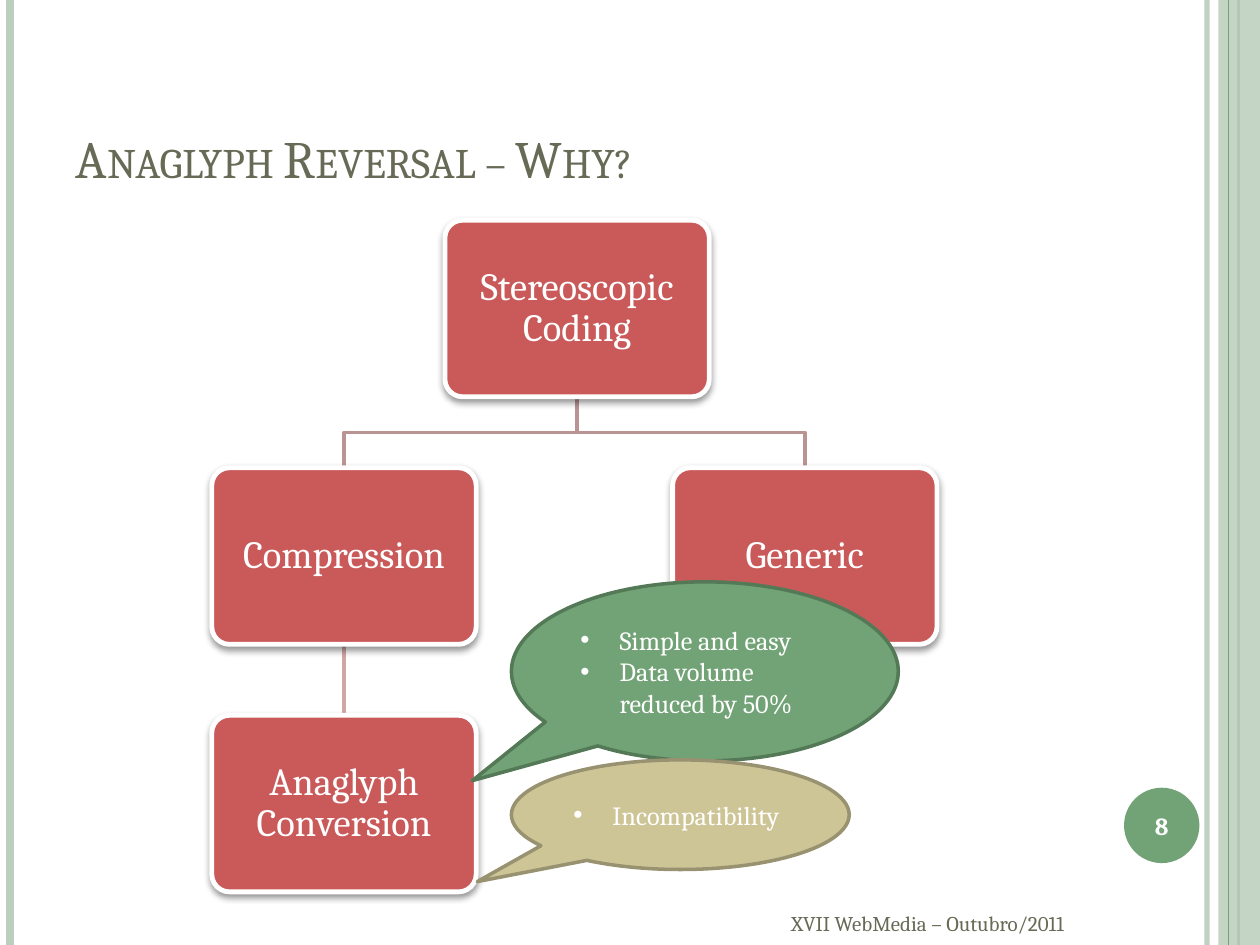
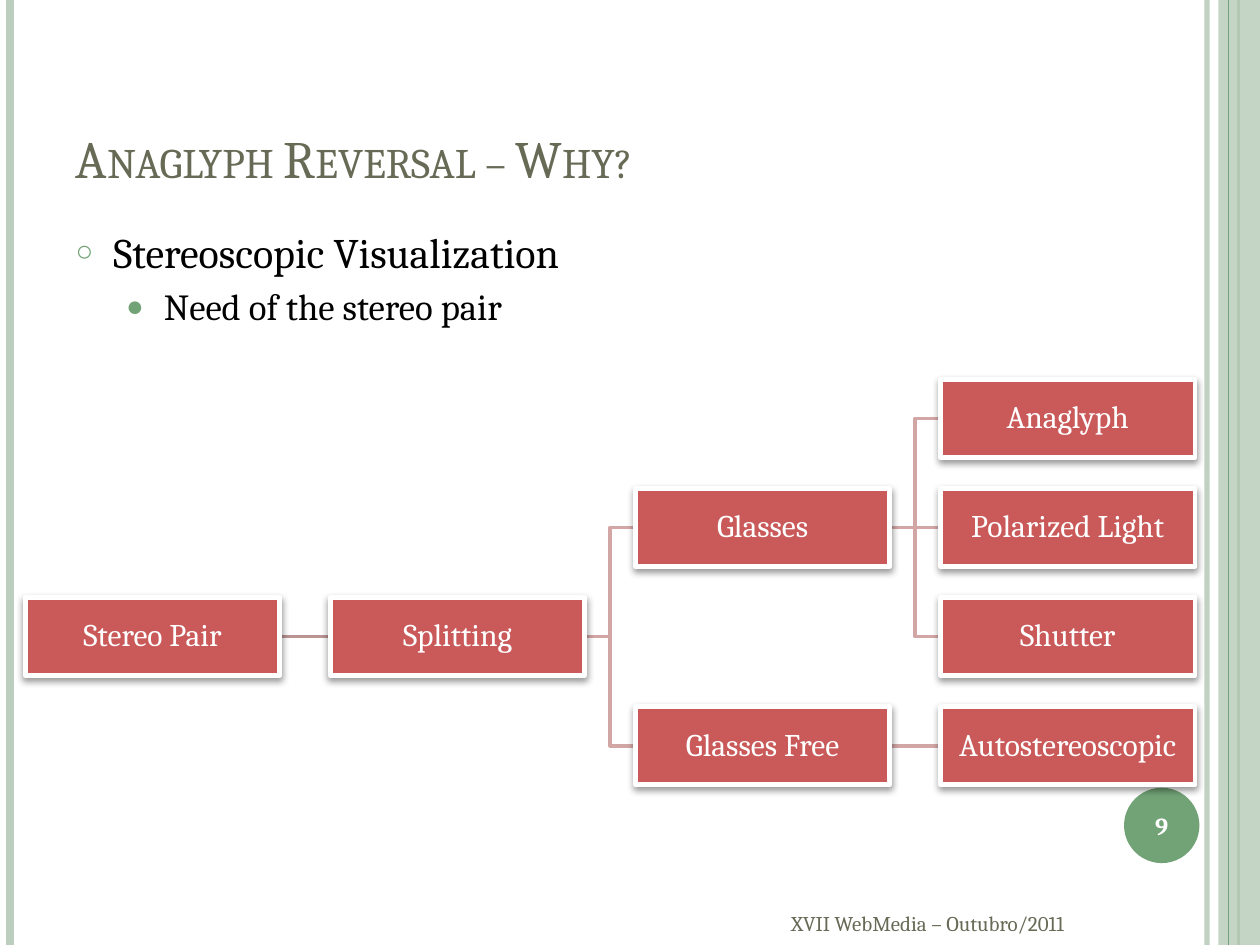
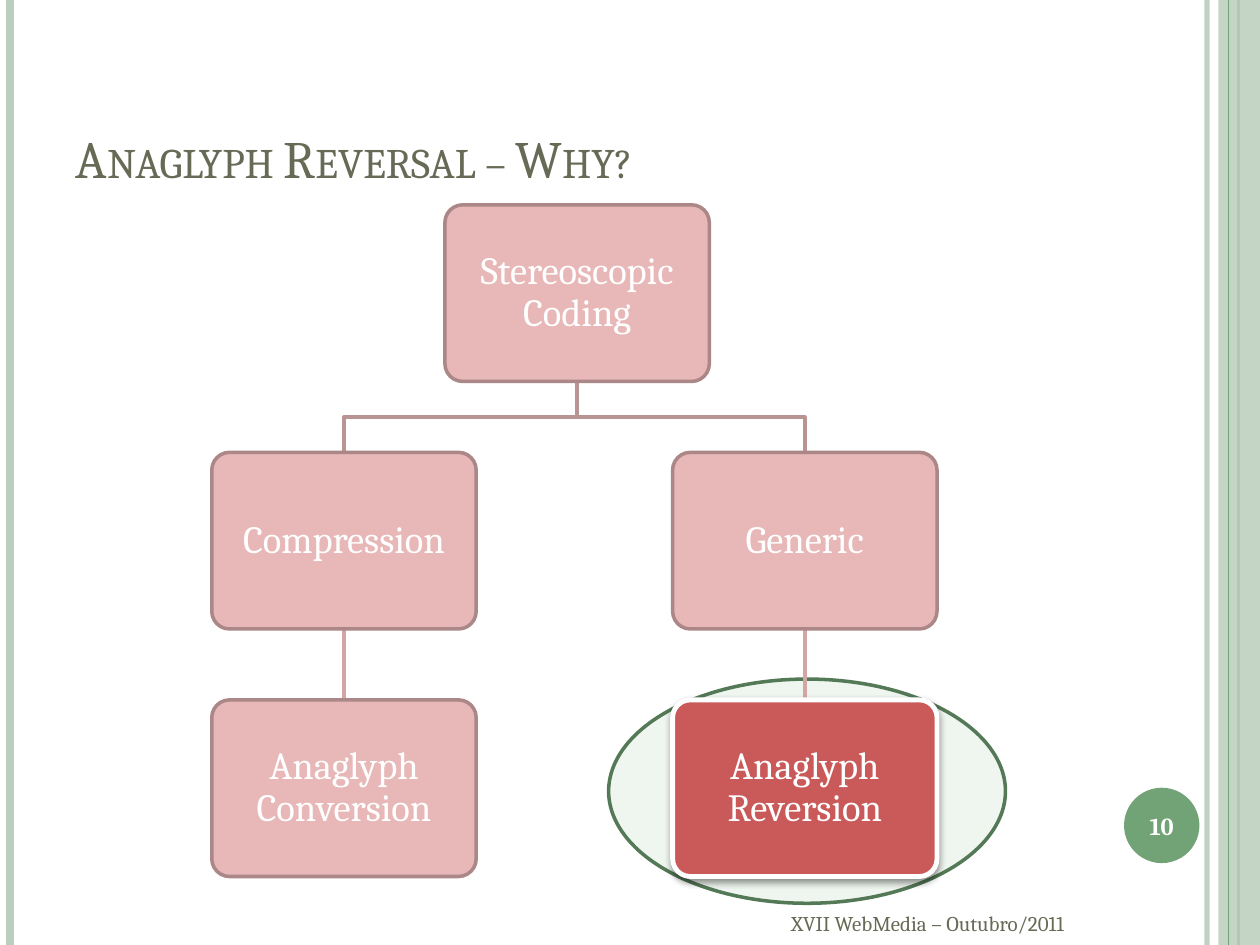
from lxml.etree import SubElement
from pptx import Presentation
from pptx.dml.color import RGBColor
from pptx.enum.shapes import MSO_CONNECTOR, MSO_SHAPE
from pptx.enum.text import MSO_ANCHOR, MSO_AUTO_SIZE, PP_ALIGN
from pptx.oxml.ns import qn
from pptx.util import Cm, Pt

WHITE = RGBColor(0xFF, 0xFF, 0xFF)
BLACK = RGBColor(0x00, 0x00, 0x00)
OLIVE = RGBColor(0x67, 0x6A, 0x55)
GREEN = RGBColor(0x72, 0xA3, 0x76)
FOREST = RGBColor(0x54, 0x79, 0x57)
MINT = RGBColor(0xEF, 0xF5, 0xEF)
SAGE = RGBColor(0xBC, 0xCE, 0xBD)
SAND = RGBColor(0xCE, 0xC5, 0x97)
KHAKI = RGBColor(0x98, 0x92, 0x70)
RED = RGBColor(0xCA, 0x5A, 0x5A)
PINK = RGBColor(0xE8, 0xB7, 0xB7)
MAUVE = RGBColor(0xAC, 0x87, 0x87)
ROSE = RGBColor(0xBA, 0x93, 0x93)
BLUSH = RGBColor(0xD3, 0xA6, 0xA6)

FONT = "Cambria"
WIDE, HIGH = 25.4, 19.05
TITLE = "Anaglyph Reversal – Why?"
FOOTER = "XVII WebMedia – Outubro/2011"

# Vertical rules: x, colour, width in points, opacity in percent
RULES = [(24.33, SAGE, 3, 93), (0.2, SAGE, 4.5, 100), (24.97, GREEN, 1.5, 100)]
INNER = (24.77, GREEN, 0.75, 100)

# Coding tree: name, left edge, level, parent
CODING = [
    ("Stereoscopic Coding", 8.97, 0, None),
    ("Compression", 4.27, 1, "Stereoscopic Coding"),
    ("Anaglyph Conversion", 4.27, 2, "Compression"),
    ("Generic", 13.56, 1, "Stereoscopic Coding"),
]
REVERSAL = ("Anaglyph Reversion", 13.56, 2, "Generic")
BOX = (5.33, 3.56)
STEP = 4.99

# Viewing tree: name, column, row, parent
VIEWING = [
    ("Stereo Pair", 0, 2, None),
    ("Splitting", 1, 2, "Stereo Pair"),
    ("Glasses", 2, 1, "Splitting"),
    ("Anaglyph", 3, 0, "Glasses"),
    ("Polarized Light", 3, 1, "Glasses"),
    ("Shutter", 3, 2, "Glasses"),
    ("Glasses Free", 2, 3, "Splitting"),
    ("Autostereoscopic", 3, 3, "Glasses Free"),
]
CELL = (5.13, 1.57)
START = (0.51, 7.65)
PITCH = (6.15, 2.2)

# Text, size, colour of bullet, mark, bullet percent, left margin, space before
OUTLINE = [
    ("Stereoscopic Visualization", 24, "○", 70, 0.76, 6),
    ("Need of the stereo pair", 21, "●", 80, 1.78, 4),
]

# Callouts: place, fill, line, lines of text
CALLOUTS = [
    ((10.31, 11.73, 7.8, 3.61), GREEN, FOREST,
     ["Simple and easy", "Data volume reduced by 50%"]),
    ((10.31, 15.32, 6.81, 2.21), SAND, KHAKI, ["Incompatibility"]),
]


def fade(part, percent):
    """Make the first colour inside a shape's properties partly transparent."""
    colour = part._element.spPr.find(".//" + qn("a:srgbClr"))
    SubElement(colour, qn("a:alpha"), val=str(percent * 1000))


def style(para, size, colour, bold=False):
    for run in para.runs:
        run.font.name = FONT
        run.font.size = Pt(size)
        run.font.color.rgb = colour
        run.font.bold = bold


def bullet(para, mark, margin, hang, colour=None, percent=None):
    props = para._p.get_or_add_pPr()
    props.set("marL", str(Cm(margin)))
    props.set("indent", str(-Cm(hang)))
    if colour is not None:
        holder = SubElement(props, qn("a:buClr"))
        SubElement(holder, qn("a:srgbClr"), val=str(colour))
    if percent:
        SubElement(props, qn("a:buSzPct"), val=str(percent * 1000))
    SubElement(props, qn("a:buFont"), typeface="Arial")
    SubElement(props, qn("a:buChar"), char=mark)


def place(shape, left, top, width, height):
    shape.left, shape.top = Cm(left), Cm(top)
    shape.width, shape.height = Cm(width), Cm(height)


def add_form(slide, kind, spot, fill, line=None, weight=2):
    form = slide.shapes.add_shape(kind, *map(Cm, spot))
    form.shadow.inherit = False
    form.fill.solid()
    form.fill.fore_color.rgb = fill
    if line is None:
        form.line.fill.background()
    else:
        form.line.color.rgb = line
        form.line.width = Pt(weight)
    return form


def inset(frame, size):
    frame.margin_left = frame.margin_right = Cm(size)
    frame.margin_top = frame.margin_bottom = Cm(size)


def add_line(slide, start, end, colour, weight):
    line = slide.shapes.add_connector(
        MSO_CONNECTOR.STRAIGHT, *map(Cm, (*start, *end)))
    line.line.color.rgb = colour
    line.line.width = Pt(weight)
    SubElement(line._element.spPr, qn("a:effectLst"))
    return line


def add_rule(slide, x, colour, weight, opacity):
    rule = add_line(slide, (x, 0), (x, HIGH), colour, weight)
    if opacity < 100:
        fade(rule, opacity)


def add_wire(slide, start, end, colour, down):
    """Join two points, with a bend halfway when they are out of line."""
    (x1, y1), (x2, y2) = start, end
    if (x1 == x2) if down else (y1 == y2):
        add_line(slide, start, end, colour, 2)
        return
    if down:
        bends = [(x1, (y1 + y2) / 2), (x2, (y1 + y2) / 2)]
    else:
        bends = [((x1 + x2) / 2, y1), ((x1 + x2) / 2, y2)]
    path = slide.shapes.build_freeform(Cm(x1), Cm(y1))
    path.add_line_segments(
        [(Cm(x), Cm(y)) for x, y in bends + [end]], close=False)
    wire = path.convert_to_shape()
    wire.shadow.inherit = False
    wire.fill.background()
    wire.line.color.rgb = colour
    wire.line.width = Pt(2)


def add_node(slide, kind, name, spot, size, margin, pale):
    fill, line, weight = (PINK, MAUVE, 2) if pale else (RED, WHITE, 2.75)
    node = add_form(slide, kind, spot, fill, line, weight)
    if kind == MSO_SHAPE.ROUNDED_RECTANGLE:
        node.adjustments[0] = 0.1
    if not pale:
        effects = node._element.spPr.find(qn("a:effectLst"))
        shade = SubElement(effects, qn("a:outerShdw"), blurRad=str(Pt(4)),
                           dist=str(Pt(2)), dir="5400000", rotWithShape="0")
        colour = SubElement(shade, qn("a:srgbClr"), val=str(BLACK))
        SubElement(colour, qn("a:alpha"), val="40000")
    frame = node.text_frame
    frame.text = name
    frame.word_wrap = True
    frame.vertical_anchor = MSO_ANCHOR.MIDDLE
    inset(frame, margin)
    para = frame.paragraphs[0]
    para.alignment = PP_ALIGN.CENTER
    para.line_spacing = 0.9
    style(para, size, WHITE)


def add_tree(slide, nodes, extent, down, pale=()):
    """Draw (name, left, top, parent) nodes over the wires that join them."""
    wide, high = extent
    spots = {name: (left, top) for name, left, top, _ in nodes}
    root = nodes[0][0]
    for name, left, top, parent in nodes:
        if parent is None:
            continue
        x, y = spots[parent]
        if down:
            ends = (x + wide / 2, y + high), (left + wide / 2, top)
        else:
            ends = (x + wide, y + high / 2), (left, top + high / 2)
        add_wire(slide, *ends, ROSE if parent == root else BLUSH, down)
    kind = MSO_SHAPE.ROUNDED_RECTANGLE if down else MSO_SHAPE.RECTANGLE
    size, margin = (22, 0.23) if down else (18, 0.03)
    for name, left, top, _ in nodes:
        add_node(slide, kind, name, (left, top, wide, high), size, margin,
                 name in pale)


def add_coding(slide, nodes, top, pale=()):
    laid = [(name, left, top + level * STEP, parent)
            for name, left, level, parent in nodes]
    add_tree(slide, laid, BOX, True, pale)


def add_callout(slide, spot, fill, line, lines):
    call = add_form(slide, MSO_SHAPE.OVAL_CALLOUT, spot, fill, line)
    call.adjustments[0], call.adjustments[1] = -0.601, 0.61
    frame = call.text_frame
    frame.text = "\n".join(lines)
    frame.word_wrap = True
    frame.vertical_anchor = MSO_ANCHOR.MIDDLE
    for para in frame.paragraphs:
        para.alignment = PP_ALIGN.LEFT
        style(para, 15, WHITE)
        bullet(para, "•", 0.79, 0.79)


def add_slide(deck, layout, number):
    """Add a slide with the shared bands, title, page number and footer."""
    slide = deck.slides.add_slide(deck.slide_layouts[layout])
    for rule in RULES:
        add_rule(slide, *rule)
    band = add_form(slide, MSO_SHAPE.RECTANGLE,
                    (24.56, 0, WIDE - 24.56, HIGH), SAGE)
    fade(band, 87)
    add_rule(slide, *INNER)

    badge = add_form(slide, MSO_SHAPE.OVAL, (22.66, 15.88, 1.52, 1.52), GREEN)
    frame = badge.text_frame
    frame.text = str(number)
    frame.word_wrap = False
    frame.vertical_anchor = MSO_ANCHOR.MIDDLE
    inset(frame, 0)
    frame.paragraphs[0].alignment = PP_ALIGN.CENTER
    style(frame.paragraphs[0], 14, WHITE, bold=True)

    title = slide.shapes.title
    place(title, 1.27, 0.76, 20.75, 3.18)
    frame = title.text_frame
    frame.text = TITLE
    frame.auto_size = MSO_AUTO_SIZE.NONE
    frame.vertical_anchor = MSO_ANCHOR.BOTTOM
    para = frame.paragraphs[0]
    para.alignment = PP_ALIGN.LEFT
    style(para, 30, OLIVE)
    para.runs[0].font._element.set("cap", "small")

    footer = slide.shapes.add_textbox(*map(Cm, (15.7, 18.14, 6.81, 0.94)))
    frame = footer.text_frame
    frame.text = FOOTER
    frame.word_wrap = True
    frame.vertical_anchor = MSO_ANCHOR.MIDDLE
    style(frame.paragraphs[0], 12, OLIVE)
    return slide


def add_outline(slide):
    body = slide.placeholders[1]
    place(body, 1.27, 4.44, 20.75, 13.54)
    frame = body.text_frame
    frame.text = "\n".join(item[0] for item in OUTLINE)
    frame.auto_size = MSO_AUTO_SIZE.NONE
    for level, (para, item) in enumerate(zip(frame.paragraphs, OUTLINE)):
        _, size, mark, percent, margin, before = item
        para.level = level
        para.space_before = Pt(before)
        style(para, size, BLACK)
        bullet(para, mark, margin, 0.76, GREEN, percent)


def main():
    deck = Presentation()
    deck.slide_width, deck.slide_height = Cm(WIDE), Cm(HIGH)

    slide = add_slide(deck, 5, 8)
    add_coding(slide, CODING, 4.44)
    for call in CALLOUTS:
        add_callout(slide, *call)

    slide = add_slide(deck, 1, 9)
    add_outline(slide)
    laid = [(name, START[0] + col * PITCH[0], START[1] + row * PITCH[1], parent)
            for name, col, row, parent in VIEWING]
    add_tree(slide, laid, CELL, False)

    slide = add_slide(deck, 5, 10)
    add_form(slide, MSO_SHAPE.OVAL, (12.27, 13.69, 8, 4.52), MINT, FOREST)
    add_coding(slide, CODING + [REVERSAL], 4.13,
               pale=[node[0] for node in CODING])

    deck.save("out.pptx")


if __name__ == "__main__":
    main()
